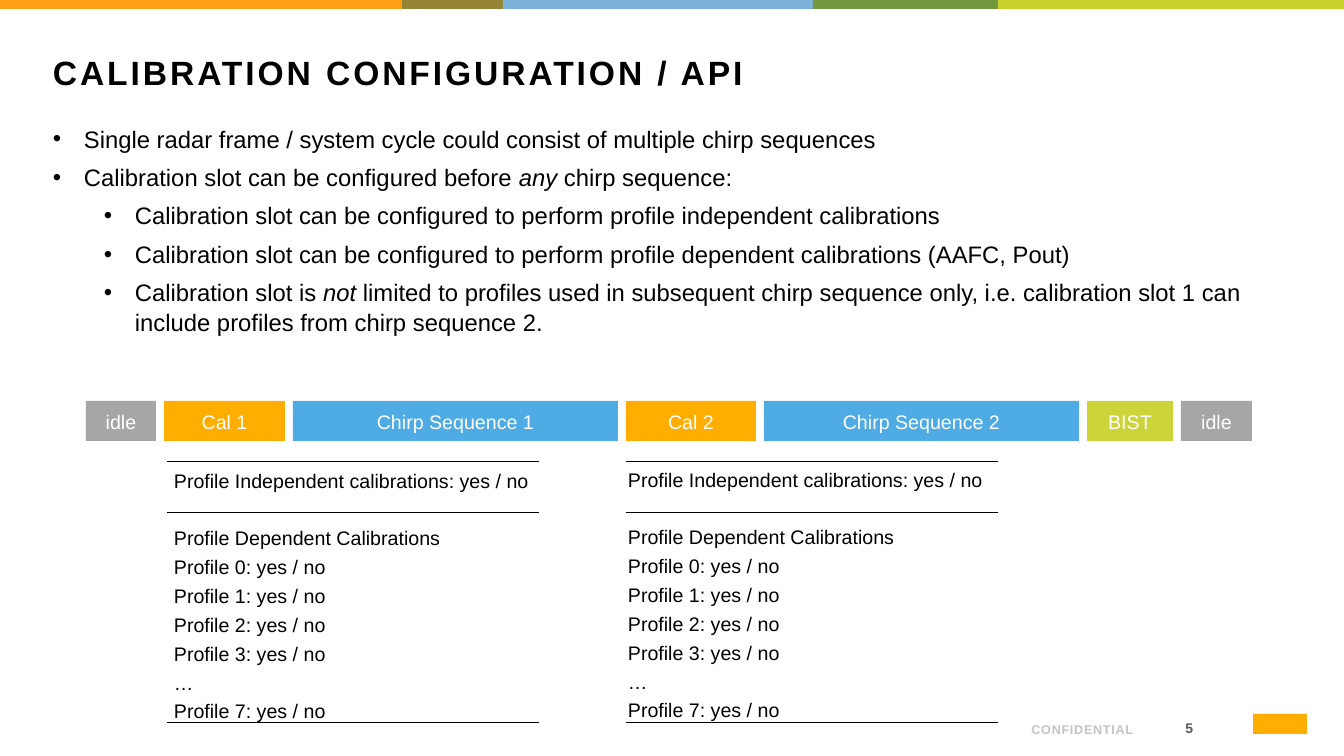
from lxml.etree import SubElement
from pptx import Presentation
from pptx.dml.color import RGBColor
from pptx.enum.shapes import MSO_CONNECTOR as Connector, MSO_SHAPE as Shape
from pptx.enum.text import MSO_ANCHOR as Anchor, PP_ALIGN as Align
from pptx.oxml.ns import qn
from pptx.util import Pt

PX = 914400 / 100.8


def px(length):
    return round(length * PX)


def add_box(left, top, width, height, text="", size=14, color="000000", fill=None,
            align=Align.LEFT, anchor=Anchor.TOP, bold=False, tracking=0):
    """Add a text box, or a filled rectangle; *stars* mark italic words."""
    area = [px(length) for length in (left, top, width, height)]
    if fill:
        box = page.shapes.add_shape(Shape.RECTANGLE, *area)
        box.shadow.inherit = False
        box.fill.solid()
        box.fill.fore_color.rgb = RGBColor.from_string(fill)
        box.line.fill.background()
    else:
        box = page.shapes.add_textbox(*area)
    frame = box.text_frame
    frame.word_wrap = True
    frame.vertical_anchor = anchor
    if not text:
        return frame
    for index, line in enumerate(text.split("\n")):
        para = frame.paragraphs[0] if index == 0 else frame.add_paragraph()
        para.alignment = align
        para.line_spacing = 1.05
        for part, words in enumerate(line.split("*")):
            span = para.add_run()
            span.text = words
            span.font.name = "Arial"
            span.font.size = Pt(size)
            span.font.bold = bold
            span.font.italic = part % 2 == 1
            span.font.color.rgb = RGBColor.from_string(color)
            if tracking:
                span.font._element.set("spc", str(round(tracking * 100)))
    return frame


deck = Presentation()
deck.slide_width, deck.slide_height = px(1344), px(756)
page = deck.slides.add_slide(deck.slide_layouts[6])

# Colour strip along the top edge
strip_edges = [0, 402, 503, 813, 998, 1344]
strip_colors = ["FFA015", "958436", "7DB2DB", "73983E", "C7D22D"]
for left, right, color in zip(strip_edges, strip_edges[1:], strip_colors):
    add_box(left, 0, right - left, 9, fill=color)

# Footer with a plain block in the corner
add_box(1137, 713, 66, 30, "5", 10, "595959", align=Align.RIGHT,
        anchor=Anchor.MIDDLE, bold=True, tracking=3)
add_box(858, 708, 285, 34, "CONFIDENTIAL", 9, "C4C4C4", align=Align.RIGHT,
        anchor=Anchor.BOTTOM, bold=True, tracking=0.5)
add_box(1253, 714, 54, 20, fill="FFAD00")

# Title
add_box(43, 45, 1260, 73, "CALIBRATION CONFIGURATION / API", 24, bold=True, tracking=2.1)

# Bulleted list on two levels
bullets = [
    (0, "Single radar frame / system cycle could consist of multiple chirp sequences"),
    (0, "Calibration slot can be configured before *any *chirp sequence:"),
    (1, "Calibration slot can be configured to perform profile independent calibrations"),
    (1, "Calibration slot can be configured to perform profile dependent calibrations (AAFC, Pout)"),
    (1, "Calibration slot is *not* limited to profiles used in subsequent chirp sequence only, "
        "i.e. calibration slot 1 can include profiles from chirp sequence 2."),
]
body = add_box(43, 118, 1278, 217, "\n".join(text for _, text in bullets), 17)
for index, (para, (level, _)) in enumerate(zip(body.paragraphs, bullets)):
    para.level = level
    if index:
        para.space_before = Pt(6)
    properties = para._p.get_or_add_pPr()
    properties.set("marL", str(px(31 + 51 * level)))
    properties.set("indent", str(px(-31)))
    SubElement(properties, qn("a:buFont")).set("typeface", "Arial")
    SubElement(properties, qn("a:buChar")).set("char", "•")

# Timeline of one radar frame
slots = [
    ("idle", 70, "A6A6A6"), ("Cal 1", 121, "FFAD00"), ("Chirp Sequence 1", 325, "4FABE3"),
    ("Cal 2", 130, "FFAD00"), ("Chirp Sequence 2", 315, "4FABE3"),
    ("BIST", 86, "CBD53A"), ("idle", 71, "A6A6A6"),
]
slot_left = 86
for name, width, color in slots:
    slot = add_box(slot_left, 401, width, 40, name, 14, "FFFFFF", color,
                   Align.CENTER, Anchor.MIDDLE)
    slot.margin_left = slot.margin_right = slot.margin_top = slot.margin_bottom = 0
    slot_left += width + 8

# Calibration options below each calibration slot
options = ["Profile Independent calibrations: yes / no", "Profile Dependent Calibrations"]
options += [f"Profile {number}: yes / no" for number in range(4)]
options += ["…", "Profile 7: yes / no"]
for text_left, text_top, text_width, rule_left in [(164, 463, 375, 167), (618, 462, 388, 626)]:
    panel = add_box(text_left, text_top, text_width, 286, "\n".join(options))
    for para in panel.paragraphs[1:]:
        para.space_before = Pt(3)
    panel.paragraphs[1].space_before = Pt(23)
    for y in (462, 513, 723):
        rule = page.shapes.add_connector(
            Connector.STRAIGHT, px(rule_left), px(y), px(rule_left + 372), px(y))
        rule.line.color.rgb = RGBColor.from_string("000000")
        rule.line.width = Pt(0.75)
        SubElement(rule._element.spPr, qn("a:effectLst"))

deck.save("out.pptx")
